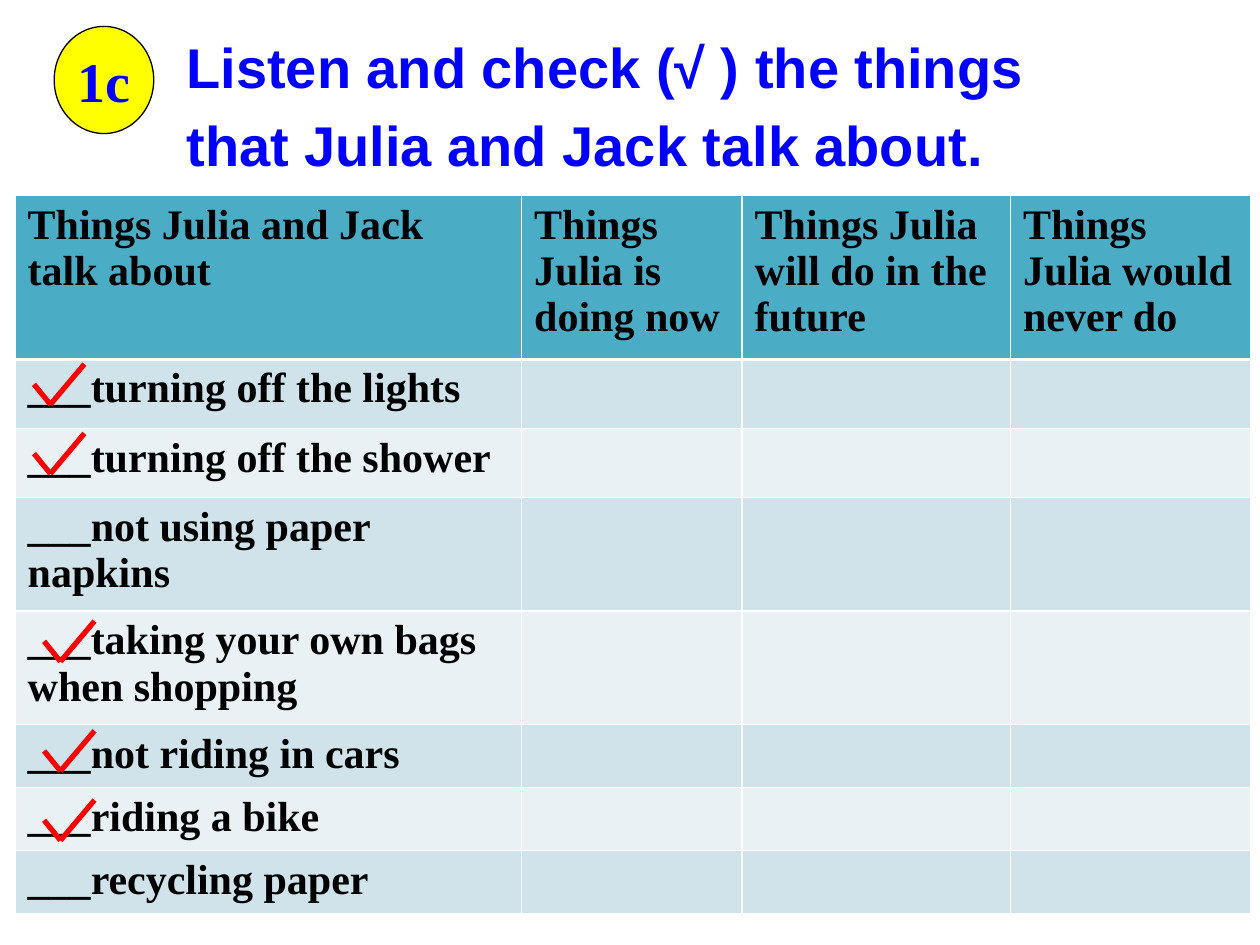
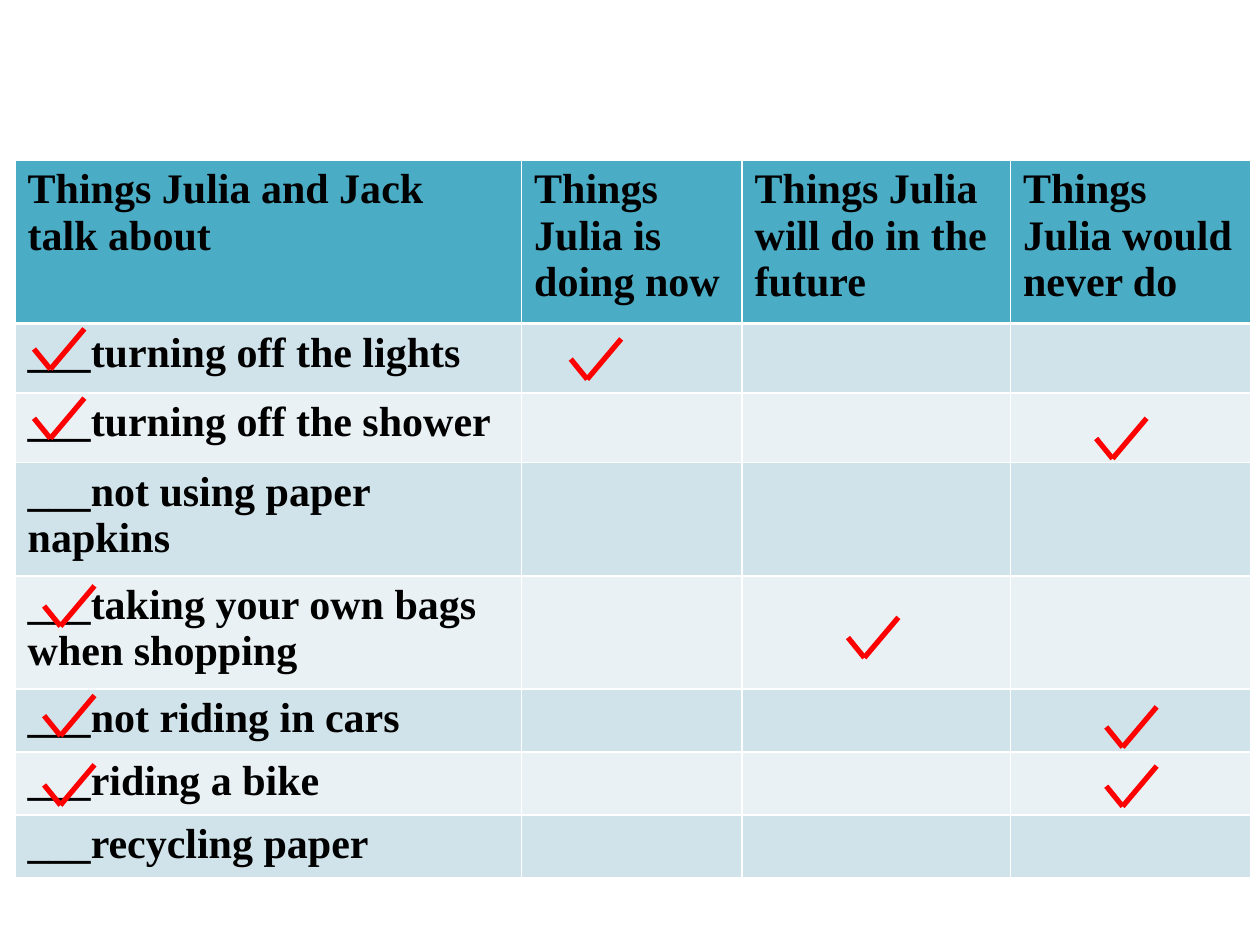
from itertools import accumulate

from lxml import etree
from pptx import Presentation
from pptx.dml.color import RGBColor
from pptx.enum.shapes import MSO_CONNECTOR, MSO_SHAPE
from pptx.enum.text import MSO_ANCHOR, MSO_AUTO_SIZE, PP_ALIGN
from pptx.oxml.ns import qn
from pptx.util import Inches, Pt

STRAIGHT = MSO_CONNECTOR.STRAIGHT
OVAL = MSO_SHAPE.OVAL
TOP, MIDDLE = MSO_ANCHOR.TOP, MSO_ANCHOR.MIDDLE
LEFT, CENTER = PP_ALIGN.LEFT, PP_ALIGN.CENTER
NO_AUTOFIT = MSO_AUTO_SIZE.NONE

COLORS = {
    "heading": "0000FF",
    "badge": "FFFF00",
    "ink": "000000",
    "header": "4BACC6",
    "odd_row": "D0E3EA",
    "even_row": "E9F1F5",
    "border": "FFFFFF",
    "tick": "FF0000",
}
SERIF, SANS = "Times New Roman", "Arial"
TITLE_ONLY, BLANK = 5, 6

HEADINGS = [
    "Things Julia and Jack\ntalk about",
    "Things Julia is doing now",
    "Things Julia will do in the future",
    "Things Julia would never do",
]
ACTIVITIES = [
    "turning off the lights",
    "turning off the shower",
    "not using paper napkins",
    "taking your own bags when shopping",
    "not riding in cars",
    "riding a bike",
    "recycling paper",
]
TABLE_LEFT = 0.12
COLUMN_WIDTHS = [4.02, 1.75, 2.13, 1.91]
ROW_HEIGHTS = [1.3, 0.55, 0.55, 0.9, 0.9, 0.5, 0.5, 0.5]
COLUMN_STARTS = list(accumulate(COLUMN_WIDTHS, initial=TABLE_LEFT))
ROW_STARTS = list(accumulate(ROW_HEIGHTS, initial=0))

# column, row, and the offset of the tick inside that cell
HEARD_TICKS = [
    (0, 1, 0.15, 0.04),
    (0, 2, 0.15, 0.04),
    (0, 4, 0.23, 0.08),
    (0, 5, 0.23, 0.05),
    (0, 6, 0.23, 0.1),
]
ANSWER_TICKS = [
    (1, 1, 0.39, 0.12),
    (3, 2, 0.68, 0.2),
    (2, 4, 0.84, 0.33),
    (3, 5, 0.76, 0.14),
    (3, 6, 0.76, 0.11),
]
TICK_POINTS = [(0, 0.16), (0.13, 0.32), (0.4, 0)]


def rgb(name):
    return RGBColor.from_string(COLORS[name])


def write(frame, text, *, size=24, font=SERIF, color="ink", align=LEFT, spacing=None):
    frame.text = text
    for paragraph in frame.paragraphs:
        paragraph.alignment = align
        if spacing:
            paragraph.line_spacing = spacing
        for run in paragraph.runs:
            run.font.size = Pt(size)
            run.font.name = font
            run.font.bold = True
            run.font.color.rgb = rgb(color)


def add_instruction(slide, text):
    title = slide.shapes.title
    title.left, title.top, title.width, title.height = map(Inches, (1.38, 0.13, 7.66, 1.33))
    frame = title.text_frame
    frame.vertical_anchor = TOP
    frame.auto_size = NO_AUTOFIT
    write(frame, text, size=32, font=SANS, color="heading", spacing=1.15)


def add_badge(slide, text):
    badge = slide.shapes.add_shape(OVAL, *map(Inches, (0.43, 0.21, 0.79, 0.85)))
    badge.shadow.inherit = False
    badge.fill.solid()
    badge.fill.fore_color.rgb = rgb("badge")
    badge.line.color.rgb = rgb("ink")
    badge.line.width = Pt(0.75)
    frame = badge.text_frame
    frame.word_wrap = False
    frame.vertical_anchor = MIDDLE
    write(frame, text, size=32, color="heading", align=CENTER)


def set_borders(cell, **widths):
    properties = cell._tc.get_or_add_tcPr()
    for side in "LRTB":
        edge = etree.SubElement(properties, qn(f"a:ln{side}"), w=str(Pt(widths.get(side, 1))))
        fill = etree.SubElement(edge, qn("a:solidFill"))
        etree.SubElement(fill, qn("a:srgbClr"), val=COLORS["border"])


def format_cell(cell, row):
    heavy_side = {0: {"B": 2}, 1: {"T": 2}}.get(row, {})
    set_borders(cell, **heavy_side)
    band = "header" if row == 0 else "odd_row" if row % 2 else "even_row"
    cell.fill.solid()
    cell.fill.fore_color.rgb = rgb(band)


def add_checklist(slide, top):
    size = (sum(COLUMN_WIDTHS), sum(ROW_HEIGHTS))
    checklist = slide.shapes.add_table(
        len(ROW_HEIGHTS), len(COLUMN_WIDTHS), *map(Inches, (TABLE_LEFT, top, *size))
    ).table
    for column, width in zip(checklist.columns, COLUMN_WIDTHS):
        column.width = Inches(width)
    for row, height in zip(checklist.rows, ROW_HEIGHTS):
        row.height = Inches(height)
    for row in range(len(ROW_HEIGHTS)):
        for column in range(len(COLUMN_WIDTHS)):
            format_cell(checklist.cell(row, column), row)
    for column, heading in enumerate(HEADINGS):
        write(checklist.cell(0, column).text_frame, heading)
    for row, activity in enumerate(ACTIVITIES, start=1):
        write(checklist.cell(row, 0).text_frame, f"___{activity}")


def add_tick(slide, left, top):
    tick = slide.shapes.add_group_shape()
    points = [(Inches(left + x), Inches(top + y)) for x, y in TICK_POINTS]
    for start, end in zip(points, points[1:]):
        stroke = tick.shapes.add_connector(STRAIGHT, *start, *end)
        stroke.line.color.rgb = rgb("tick")
        stroke.line.width = Pt(3)
        etree.SubElement(stroke._element.spPr, qn("a:effectLst"))


def add_ticked_checklist(slide, top, ticks):
    add_checklist(slide, top)
    for column, row, across, down in ticks:
        add_tick(slide, COLUMN_STARTS[column] + across, top + ROW_STARTS[row] + down)


def main():
    deck = Presentation()
    deck.slide_width, deck.slide_height = Inches(10), Inches(7.5)

    listening = deck.slides.add_slide(deck.slide_layouts[TITLE_ONLY])
    add_instruction(listening, "Listen and check (√ ) the things that Julia and Jack talk about.")
    add_badge(listening, "1c")
    add_ticked_checklist(listening, 1.55, HEARD_TICKS)

    answers = deck.slides.add_slide(deck.slide_layouts[BLANK])
    add_ticked_checklist(answers, 1.27, HEARD_TICKS + ANSWER_TICKS)

    deck.save("out.pptx")


if __name__ == "__main__":
    main()
